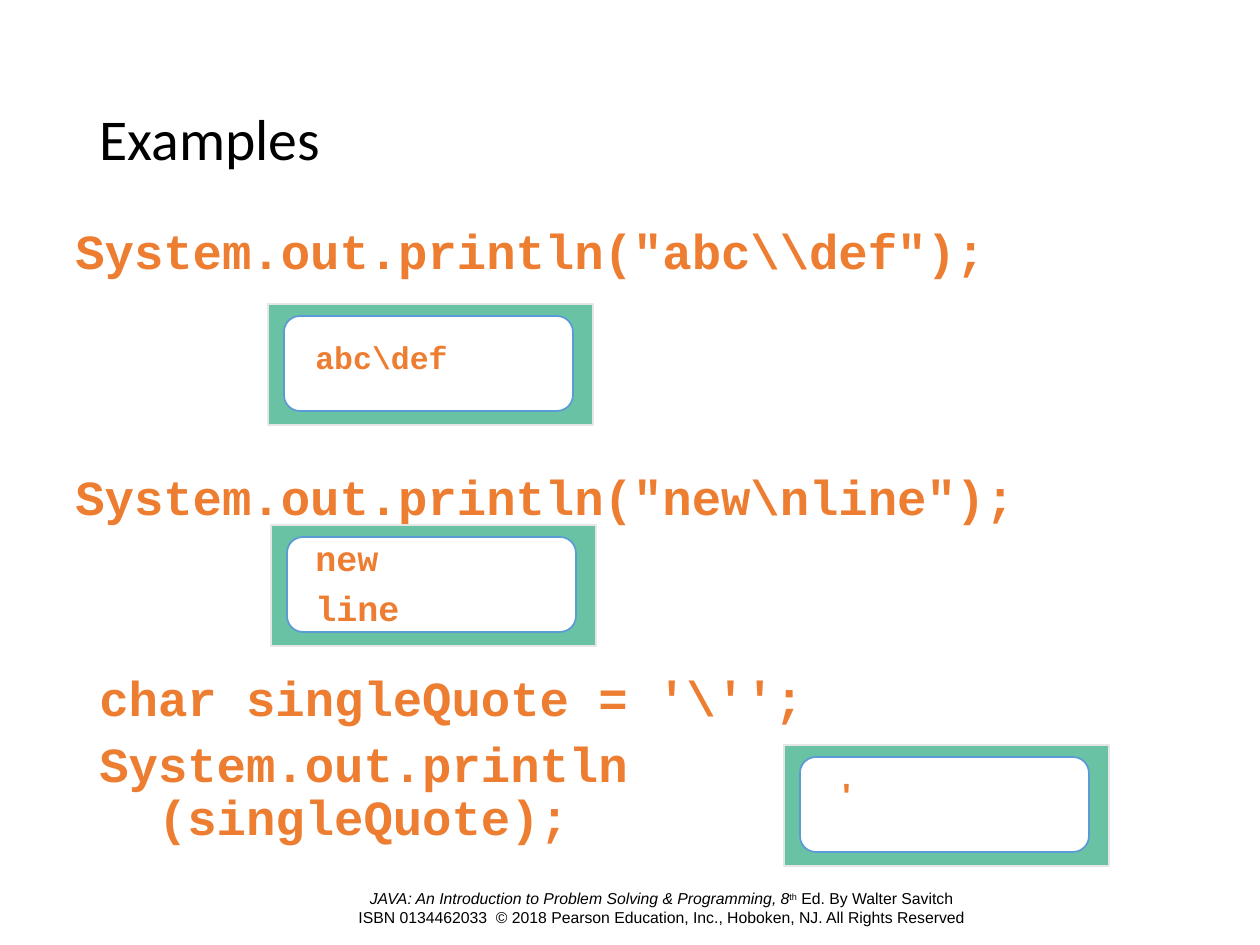
"""Build the slide of Java escape-character examples with their output."""
from pptx import Presentation
from pptx import util as u
from pptx.dml.color import RGBColor
from pptx.enum import shapes, text

PX = u.Inches(1) / 126
HUES = {"ink": "000000", "code": "ED7D31", "panel": "6AC2A5",
        "edge": "E7E6E6", "page": "FFFFFF", "rim": "5B9BD5"}
MONO = {"font": "Courier New", "hue": "code", "bold": True}
ANSWER = {**MONO, "size": 20, "gap": 5}
CODE = {**MONO, "size": 28, "line": 0.9, "gap": 7.5}

FOOT = [[
    ("JAVA: An Introduction to Problem Solving & Programming, 8", {"italic": True}),
    ("th", {"raised": True}),
    (" Ed. By Walter Savitch\nISBN 0134462033  © 2018 Pearson Education, Inc., "
     "Hoboken, NJ. All Rights Reserved", {}),
]]
TEXTS = [
    ((94, 883, 1135, 58), FOOT,
     {"font": "Arial", "size": 9, "hue": "ink", "align": "CENTER"}),
    ((87, 50, 1087, 183), ["Examples"],
     {"font": "Calibri", "size": 33, "hue": "ink", "line": 0.9, "anchor": "MIDDLE"}),
    ((63, 221, 1134, 64), [r'System.out.println("abc\\def");'], CODE),
    ((63, 467, 1134, 64), [r'System.out.println("new\nline");'], CODE),
    ((87, 668, 1110, 190),
     [r"char singleQuote = '\'';", "System.out.println\n  (singleQuote);"], CODE),
]
ANSWERS = [
    ((268, 304), (303, 336, 318, 47), [r"abc\def"], {**ANSWER, "size": 18, "line": 0.9}),
    ((784, 745), (789, 767, 115, 55), ["'"],
     {**ANSWER, "font": "Arial", "align": "CENTER"}),
    ((271, 525), (303, 530, 310, 110), ["new", "line"], ANSWER),
]


def tint(name):
    return RGBColor.from_string(HUES[name])


def scale(box):
    return [round(n * PX) for n in box]


def write(slide, box, paras, look):
    frame = slide.shapes.add_textbox(*scale(box)).text_frame
    frame.word_wrap = True
    frame.vertical_anchor = text.MSO_ANCHOR[look.get("anchor", "TOP")]
    for i, runs in enumerate(paras):
        para = frame.add_paragraph() if i else frame.paragraphs[0]
        para.alignment = text.PP_ALIGN[look.get("align", "LEFT")]
        para.line_spacing = look.get("line", 1.0)
        para.space_before = u.Pt(look.get("gap", 0) if i else 0)
        for words, style in [(runs, {})] if isinstance(runs, str) else runs:
            for j, part in enumerate(words.split("\n")):
                if j:
                    para.add_line_break()
                run = para.add_run()
                run.text = part
                font = run.font
                font.name, font.size = look["font"], u.Pt(look["size"])
                font.bold = look.get("bold", False)
                font.italic = style.get("italic", False)
                font.color.rgb = tint(look["hue"])
                if style.get("raised"):
                    run._r.get_or_add_rPr().set("baseline", "30000")


def panel(slide, x, y):
    group = slide.shapes.add_group_shape()
    kinds = shapes.MSO_SHAPE
    for kind, box, fill, line in (
        (kinds.RECTANGLE, (x, y, 325, 121), "panel", "edge"),
        (kinds.ROUNDED_RECTANGLE, (x + 16, y + 12, 289, 95), "page", "rim"),
    ):
        part = group.shapes.add_shape(kind, *scale(box))
        part.shadow.inherit = False
        part.fill.solid()
        part.fill.fore_color.rgb = tint(fill)
        part.line.color.rgb = tint(line)
        part.line.width = u.Pt(1)


def main():
    deck = Presentation()
    deck.slide_width, deck.slide_height = u.Inches(10), u.Inches(7.5)
    slide = deck.slides.add_slide(deck.slide_layouts[6])
    for box, paras, look in TEXTS:
        write(slide, box, paras, look)
    for spot, box, paras, look in ANSWERS:
        panel(slide, *spot)
        write(slide, box, paras, look)
    deck.save("out.pptx")


if __name__ == "__main__":
    main()
